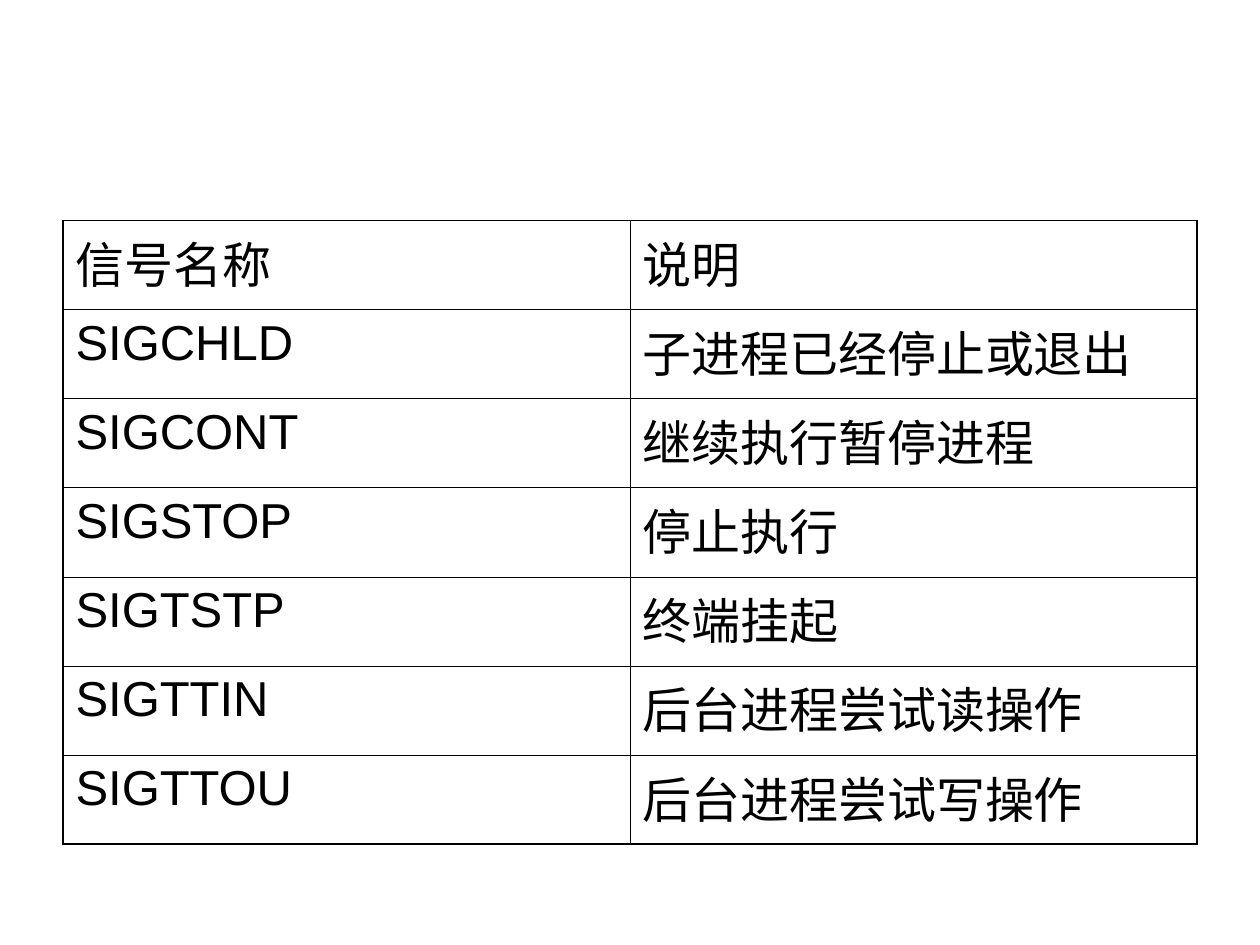
"""Build a slide with a table of process-control signals."""
from lxml import etree
from pptx import Presentation
from pptx.dml.color import RGBColor
from pptx.oxml.ns import qn
from pptx.util import Inches, Pt

COLORS = {"ink": "000000"}
FONT = "Arial"
OUTER, INNER = Pt(1.08), Pt(0.45)
BLANK_LAYOUT = 6
SIGNALS = [
    ("信号名称", "说明"),
    ("SIGCHLD", "子进程已经停止或退出"),
    ("SIGCONT", "继续执行暂停进程"),
    ("SIGSTOP", "停止执行"),
    ("SIGTSTP", "终端挂起"),
    ("SIGTTIN", "后台进程尝试读操作"),
    ("SIGTTOU", "后台进程尝试写操作"),
]


def add_border(cell, side, width):
    """Draw one solid border of a cell."""
    properties = cell._tc.get_or_add_tcPr()
    border = etree.SubElement(properties, qn(f"a:ln{side}"), w=str(int(width)))
    fill = etree.SubElement(border, qn("a:solidFill"))
    etree.SubElement(fill, qn("a:srgbClr"), val=COLORS["ink"])


def write_cell(cell, wording):
    """Write one line of text into an unfilled cell."""
    cell.fill.background()
    paragraph = cell.text_frame.paragraphs[0]
    paragraph.space_before = Pt(7)
    run = paragraph.add_run()
    run.text = wording
    run.font.size = Pt(28)
    run.font.name = FONT
    run.font.color.rgb = RGBColor.from_string(COLORS["ink"])


def add_signal_table(slide, signals):
    """Add the signal table with a heavier outer frame."""
    row_count, column_count = len(signals), len(signals[0])
    table = slide.shapes.add_table(
        row_count, column_count,
        Inches(0.5), Inches(1.75), Inches(9), Inches(4.95),
    ).table
    table.first_row = False
    table.horz_banding = False
    for row, entry in enumerate(signals):
        for column, wording in enumerate(entry):
            cell = table.cell(row, column)
            on_frame = {
                "L": column == 0,
                "R": column == column_count - 1,
                "T": row == 0,
                "B": row == row_count - 1,
            }
            for side, is_outer in on_frame.items():
                add_border(cell, side, OUTER if is_outer else INNER)
            write_cell(cell, wording)


def main():
    """Create and save the presentation."""
    deck = Presentation()
    deck.slide_width, deck.slide_height = Inches(10), Inches(7.5)
    slide = deck.slides.add_slide(deck.slide_layouts[BLANK_LAYOUT])
    add_signal_table(slide, SIGNALS)
    deck.save("out.pptx")


if __name__ == "__main__":
    main()
